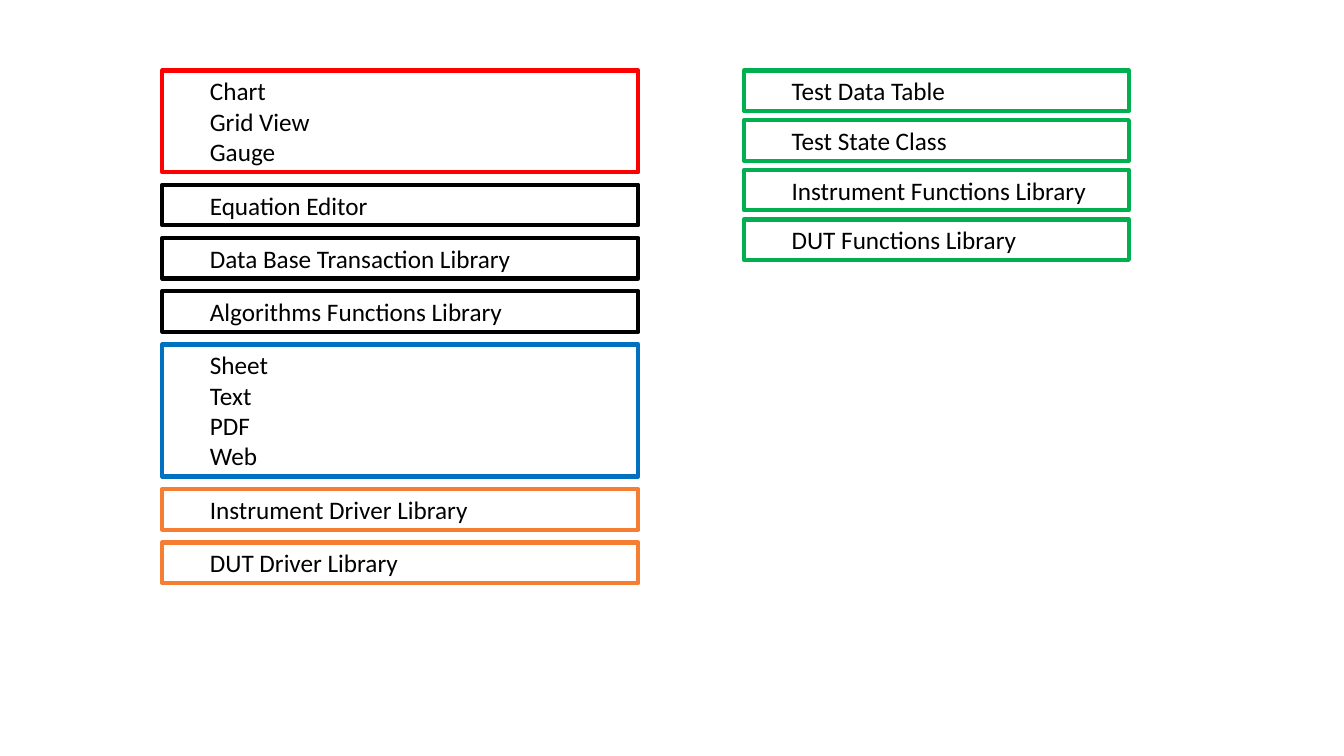
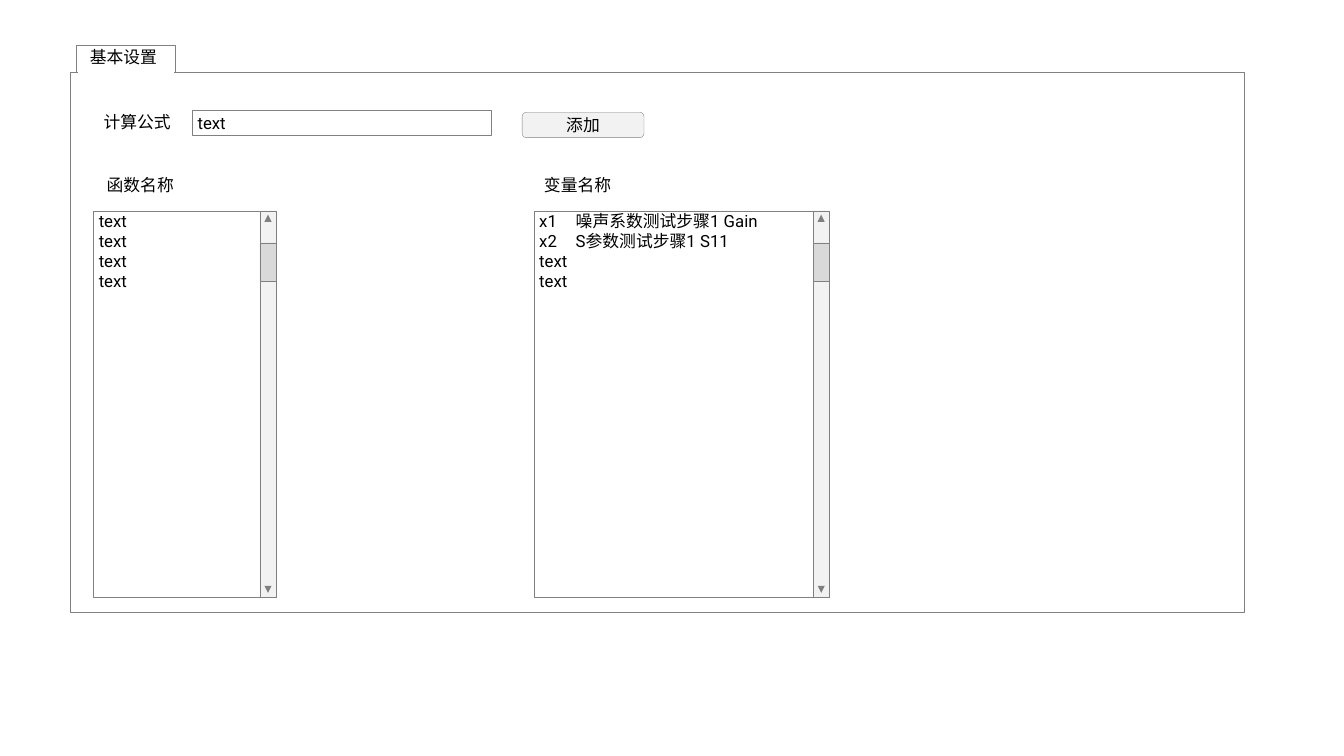
"""Build two slides: a stack of library boxes and a formula settings form."""
from dataclasses import dataclass

from lxml.etree import SubElement
from pptx import Presentation
from pptx.dml.color import RGBColor
from pptx.enum.shapes import MSO_CONNECTOR as Connector, MSO_SHAPE as Preset
from pptx.enum.text import MSO_ANCHOR as Anchor, PP_ALIGN as Align
from pptx.oxml.ns import qn
from pptx.util import Cm, Pt

BLACK, WHITE = "000000", "FFFFFF"
RED, BLUE, ORANGE, GREEN = "FF0000", "0070C0", "F57E32", "00B050"
GREY, PALE, THUMB = "808080", "F2F2F2", "D9D9D9"
STACK_TOP, LINE_HEIGHT, STACK_PADDING = 1.78, 0.77, 0.25
LIST_TOP, LIST_HEIGHT, BAR_WIDTH, ARROW = 5.31, 9.73, 0.41, 0.18
ARROW_INSET = 0.1


@dataclass(frozen=True)
class Area:
    left: float
    top: float
    width: float
    height: float

    def lengths(self):
        return [Cm(value) for value in (self.left, self.top, self.width, self.height)]


@dataclass(frozen=True)
class Module:
    lines: tuple[str, ...]
    color: str


@dataclass(frozen=True)
class ListPanel:
    title: str
    title_left: float
    left: float
    width: float
    rows: tuple[str, ...]


LEFT_MODULES = (
    Module(("Chart", "Grid View", "Gauge"), RED),
    Module(("Equation Editor",), BLACK),
    Module(("Data Base Transaction Library",), BLACK),
    Module(("Algorithms Functions Library",), BLACK),
    Module(("Sheet", "Text", "PDF", "Web"), BLUE),
    Module(("Instrument Driver Library",), ORANGE),
    Module(("DUT Driver Library",), ORANGE),
)
RIGHT_MODULES = tuple(
    Module((name,), GREEN)
    for name in ("Test Data Table", "Test State Class",
                 "Instrument Functions Library", "DUT Functions Library")
)
LIST_PANELS = (
    ListPanel("变量名称", 13.46, 13.46, 7.44,
              ("x1\t噪声系数测试步骤1 Gain", "x2\tS参数测试步骤1 S11", "text", "text")),
    ListPanel("函数名称", 2.44, 2.36, 4.6, ("text",) * 4),
)


def rgb(color: str) -> RGBColor:
    return RGBColor.from_string(color)


def write(box, *lines: str, font="Roboto", size=12, color=BLACK, align=Align.LEFT,
          anchor=Anchor.MIDDLE, insets=(0.13, 0.05, 0.13, 0.05), tab_stop=0.92) -> None:
    frame = box.text_frame
    frame.word_wrap = True
    frame.vertical_anchor = anchor
    (frame.margin_left, frame.margin_top,
     frame.margin_right, frame.margin_bottom) = map(Cm, insets)
    for index, line in enumerate(lines):
        para = frame.add_paragraph() if index else frame.paragraphs[0]
        para.alignment = align
        if "\t" in line:
            stops = SubElement(para._p.get_or_add_pPr(), qn("a:tabLst"))
            SubElement(stops, qn("a:tab"), pos=str(Cm(tab_stop)), algn="l")
        span = para.add_run()
        span.text = line
        span.font.name = font
        span.font.size = Pt(size)
        span.font.color.rgb = rgb(color)


def add_box(page, area: Area, preset=Preset.RECTANGLE, fill=WHITE, line=GREY, weight=0.25):
    box = page.shapes.add_shape(preset, *area.lengths())
    box.shadow.inherit = False
    box.fill.solid()
    box.fill.fore_color.rgb = rgb(fill)
    if line:
        box.line.color.rgb = rgb(line)
        box.line.width = Pt(weight)
    else:
        box.line.fill.background()
    return box


def add_label(page, text: str, left: float, top: float) -> None:
    label = page.shapes.add_textbox(*Area(left, top, 2.24, 0.64).lengths())
    write(label, text, insets=(0.25, 0.05, 0, 0.08))


def add_stack(page, modules: tuple[Module, ...], left: float, width: float, gap: float) -> None:
    top = STACK_TOP
    for module in modules:
        height = LINE_HEIGHT * len(module.lines) + STACK_PADDING
        box = add_box(page, Area(left, top, width, height), line=module.color, weight=3)
        write(box, *module.lines, font="Calibri", size=18, anchor=Anchor.TOP,
              insets=(1.2, 0.13, 0.25, 0.13))
        top += height + gap


def add_list(page, panel: ListPanel) -> None:
    box = add_box(page, Area(panel.left, LIST_TOP, panel.width, LIST_HEIGHT))
    write(box, *panel.rows, anchor=Anchor.TOP, insets=(0.13, 0, 0, 0.05))
    bar_left = panel.left + panel.width - BAR_WIDTH
    add_box(page, Area(bar_left, LIST_TOP, BAR_WIDTH, LIST_HEIGHT), fill=PALE)
    add_box(page, Area(bar_left, LIST_TOP + 0.81, BAR_WIDTH, 0.97), fill=THUMB)
    arrow_left = bar_left + (BAR_WIDTH - ARROW) / 2
    bottom = LIST_TOP + LIST_HEIGHT - ARROW_INSET - ARROW
    for top, rotation in ((LIST_TOP + ARROW_INSET, 0), (bottom, 180)):
        arrow = add_box(page, Area(arrow_left, top, ARROW, ARROW),
                        Preset.ISOSCELES_TRIANGLE, fill=GREY, line="")
        arrow.rotation = rotation
    add_label(page, panel.title, panel.title_left, 4.34)


def add_tab_panel(page, title: str) -> None:
    add_box(page, Area(1.78, 1.83, 29.57, 13.61))
    tab = add_box(page, Area(1.93, 1.14, 2.49, 0.69))
    write(tab, title, align=Align.CENTER, anchor=Anchor.TOP, insets=(0, 0.05, 0.13, 0.13))
    opening = page.shapes.add_connector(
        Connector.STRAIGHT, Cm(1.96), Cm(1.83), Cm(4.39), Cm(1.83))
    opening.line.color.rgb = rgb(WHITE)
    opening.line.width = Pt(1)
    SubElement(opening._element.spPr, qn("a:effectLst"))


def build_libraries(page) -> None:
    add_stack(page, LEFT_MODULES, left=4.09, width=12, gap=0.32)
    add_stack(page, RIGHT_MODULES, left=18.75, width=9.7, gap=0.23)


def build_form(page) -> None:
    add_tab_panel(page, "基本设置")
    for panel in LIST_PANELS:
        add_list(page, panel)
    add_label(page, "计算公式", 2.36, 2.77)
    write(add_box(page, Area(4.85, 2.77, 7.52, 0.64)), "text")
    button = add_box(page, Area(13.16, 2.83, 3.07, 0.64), Preset.ROUNDED_RECTANGLE, fill=PALE)
    write(button, "添加", align=Align.CENTER, insets=(0.25, 0, 0.25, 0.03))


def main() -> None:
    deck = Presentation()
    deck.slide_width, deck.slide_height = Cm(33.87), Cm(19.05)
    for build in (build_libraries, build_form):
        build(deck.slides.add_slide(deck.slide_layouts[6]))
    deck.save("out.pptx")


if __name__ == "__main__":
    main()
